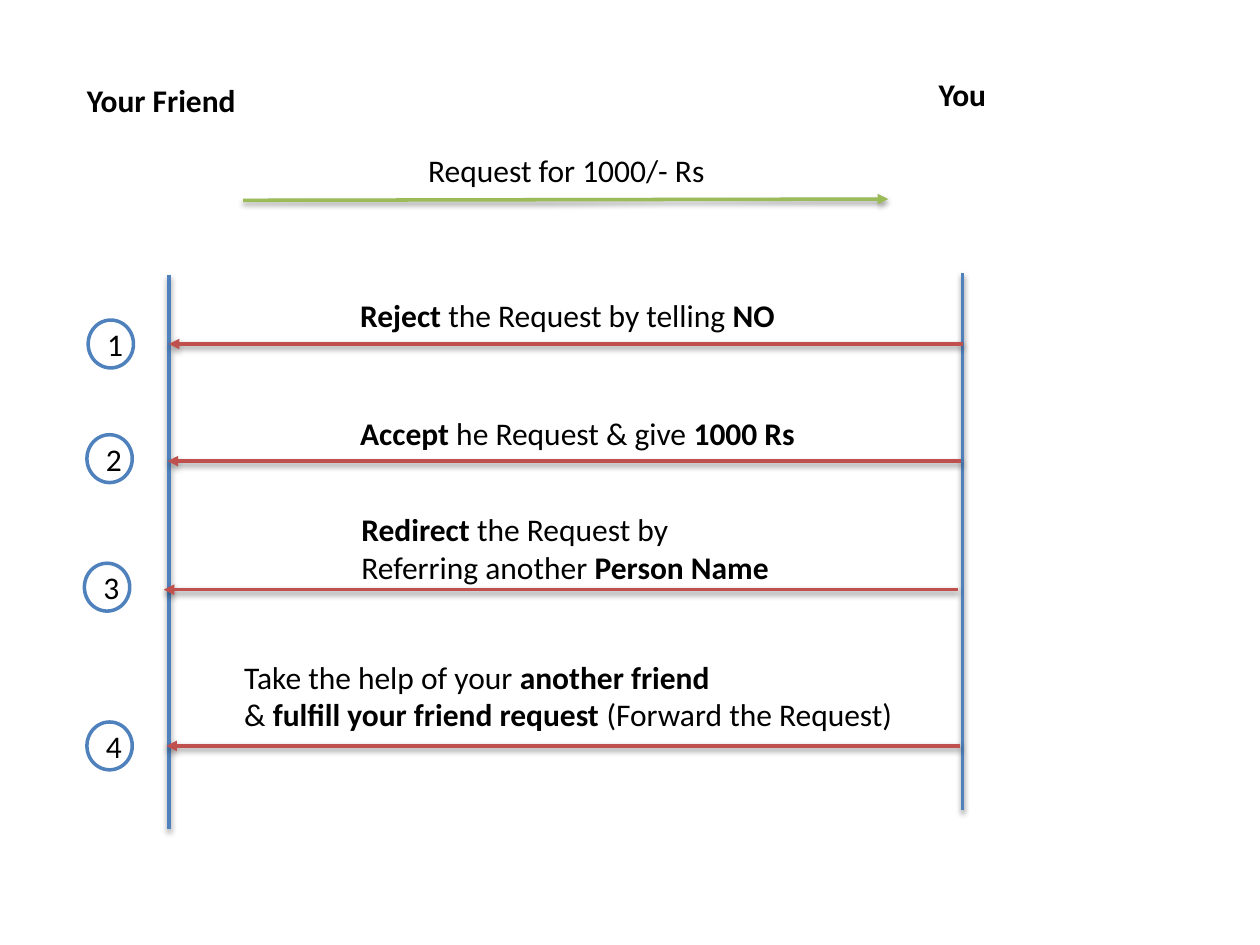
from lxml import etree
from pptx import Presentation
from pptx.dml.color import RGBColor
from pptx.enum import shapes, text
from pptx.oxml import parse_xml
from pptx.oxml.ns import qn
from pptx.util import Inches, Pt

BLUE, GREEN, RED, BLACK = "4F81BD", "9BBB59", "C0504D", "000000"
DRAWING_NS = "http://schemas.openxmlformats.org/drawingml/2006/main"
SHADOW = (
    f'<a:effectLst xmlns:a="{DRAWING_NS}">'
    '<a:outerShdw blurRad="40000" dist="20000" dir="5400000" rotWithShape="0">'
    '<a:srgbClr val="000000"><a:alpha val="38000"/></a:srgbClr>'
    "</a:outerShdw></a:effectLst>"
)

# Each reply: badge (left, top), arrow (right, left, y), label box, lines of (words, bold)
REPLIES = [
    ((0.7, 2.54), (7.64, 1.34, 2.73), (2.76, 2.3, 3.53, 0.4),
     [[("Reject", True), (" the Request by telling ", False), ("NO", True)]]),
    ((0.69, 3.45), (7.63, 1.33, 3.66), (2.76, 3.24, 3.69, 0.4),
     [[("Accept", True), (" he Request & give ", False), ("1000 Rs", True)]]),
    ((0.67, 4.47), (7.6, 1.3, 4.68), (2.77, 4, 3.47, 0.71),
     [[("Redirect", True), (" the Request by", False)],
      [("Referring another ", False), ("Person Name", True)]]),
    ((0.69, 5.73), (7.62, 1.32, 5.92), (1.84, 5.17, 5.4, 0.71),
     [[("Take the help of your ", False), ("another friend", True)],
      [("& ", False), ("fulfill your friend request ", True),
       ("(Forward the Request)", False)]]),
]


def paint(color_format, value):
    color_format.rgb = RGBColor.from_string(value)


def add_words(paragraph, words, bold=False):
    run = paragraph.add_run()
    run.text = words
    run.font.name = "Calibri"
    run.font.size = Pt(18)
    run.font.bold = bold
    paint(run.font.color, BLACK)


def add_label(slide, box, lines):
    frame = slide.shapes.add_textbox(*map(Inches, box)).text_frame
    frame.word_wrap = False
    frame.auto_size = text.MSO_AUTO_SIZE.SHAPE_TO_FIT_TEXT
    for index, line in enumerate(lines):
        paragraph = frame.add_paragraph() if index else frame.paragraphs[0]
        for words, bold in line:
            add_words(paragraph, words, bold)


def add_line(slide, start, end, color, arrow=False):
    line = slide.shapes.add_connector(
        shapes.MSO_CONNECTOR.STRAIGHT, *map(Inches, (*start, *end)))
    line.line.width = Pt(2)
    paint(line.line.color, color)
    if arrow:
        etree.SubElement(line.line._get_or_add_ln(), qn("a:tailEnd"), type="triangle")
    line._element.spPr.append(parse_xml(SHADOW))


def add_badge(slide, left, top, number):
    badge = slide.shapes.add_shape(
        shapes.MSO_SHAPE.FLOWCHART_CONNECTOR,
        *map(Inches, (left, top, 0.36, 0.38)))
    badge.shadow.inherit = False
    badge.fill.background()
    badge.line.width = Pt(2)
    paint(badge.line.color, BLUE)
    frame = badge.text_frame
    frame.vertical_anchor = text.MSO_ANCHOR.MIDDLE
    frame.paragraphs[0].alignment = text.PP_ALIGN.CENTER
    add_words(frame.paragraphs[0], str(number))


def add_lifelines(slide):
    add_line(slide, (1.34, 2.18), (1.34, 6.58), BLUE)
    add_line(slide, (7.64, 2.17), (7.64, 6.43), BLUE)


def add_request(slide):
    add_line(slide, (1.93, 1.59), (7.05, 1.58), GREEN, arrow=True)
    add_label(slide, (3.3, 1.15, 2.42, 0.4), [[("Request for 1000/- Rs", False)]])


def add_reply(slide, number, badge, arrow, box, lines):
    right, left, y = arrow
    add_line(slide, (right, y), (left, y), RED, arrow=True)
    add_badge(slide, *badge, number)
    add_label(slide, box, lines)


def add_people(slide):
    add_label(slide, (0.59, 0.59, 1.39, 0.4), [[("Your Friend", True)]])
    add_label(slide, (7.35, 0.55, 0.58, 0.4), [[("You", True)]])


def main():
    deck = Presentation()
    deck.slide_width, deck.slide_height = Inches(10), Inches(7.5)
    slide = deck.slides.add_slide(deck.slide_layouts[6])

    # Timelines and the opening request
    add_lifelines(slide)
    add_request(slide)

    # Numbered replies
    for number, reply in enumerate(REPLIES, start=1):
        add_reply(slide, number, *reply)

    # Names above the timelines
    add_people(slide)
    deck.save("out.pptx")


if __name__ == "__main__":
    main()
